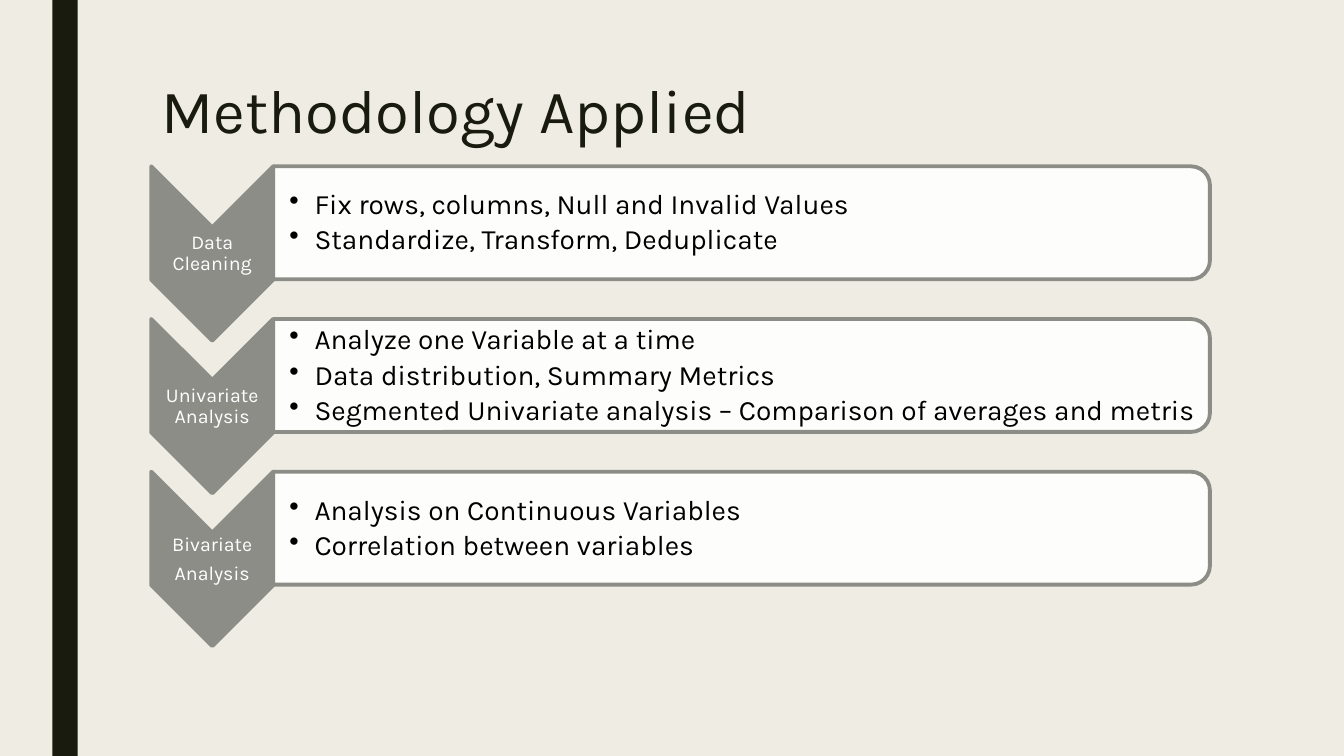
from dataclasses import dataclass

from lxml import etree
from pptx import Presentation
from pptx.dml.color import RGBColor
from pptx.enum.shapes import MSO_SHAPE
from pptx.enum.text import MSO_ANCHOR, MSO_AUTO_SIZE, PP_ALIGN
from pptx.oxml.ns import qn
from pptx.util import Inches, Pt

RECTANGLE = MSO_SHAPE.RECTANGLE
CHEVRON = MSO_SHAPE.CHEVRON
PANEL = MSO_SHAPE.ROUND_2_SAME_RECTANGLE
LEFT, CENTER = PP_ALIGN.LEFT, PP_ALIGN.CENTER
TOP, MIDDLE = MSO_ANCHOR.TOP, MSO_ANCHOR.MIDDLE
NO_AUTOFIT = MSO_AUTO_SIZE.NONE

FONT = "Karla"
CREAM, DARK, GRAY, WHITE, BLACK = "EFEDE3", "191B0E", "8C8D86", "FFFFFF", "000000"
FIRST_TOP, ROW_PITCH = 1.65, 1.515


@dataclass
class Step:
    label: list[str]
    points: list[str]


STEPS = [
    Step(["Data Cleaning"],
         ["Fix rows, columns, Null and Invalid Values",
          "Standardize, Transform, Deduplicate"]),
    Step(["Univariate Analysis"],
         ["Analyze one Variable at a time",
          "Data distribution, Summary Metrics",
          "Segmented Univariate analysis – Comparison of averages and metris"]),
    Step(["Bivariate", "Analysis"],
         ["Analysis on Continuous Variables",
          "Correlation between variables"]),
]


def color(value: str) -> RGBColor:
    return RGBColor.from_string(value)


def add_block(slide, kind, left: float, top: float, width: float, height: float, *,
              fill: str, line: str | None = None, turned: bool = False,
              opacity: int = 100):
    """Add a preset shape; the box given is the one seen after turning."""
    if turned:
        left, top = left + (width - height) / 2, top + (height - width) / 2
        width, height = height, width
    shape = slide.shapes.add_shape(
        kind, Inches(left), Inches(top), Inches(width), Inches(height))
    shape.shadow.inherit = False
    shape.rotation = 90 if turned else 0
    shape.fill.solid()
    shape.fill.fore_color.rgb = color(fill)
    if opacity < 100:
        fill_color = shape._element.spPr.find(qn("a:solidFill"))[0]
        etree.SubElement(fill_color, qn("a:alpha"), val=str(opacity * 1000))
    if line:
        shape.line.color.rgb = color(line)
        shape.line.width = Pt(2.75)
    else:
        shape.line.fill.background()
    return shape


def write_text(shape, lines: list[str], *, size: float, text_color: str,
               align=LEFT, anchor=MIDDLE, spacing: float = 0.9, after: float = 0,
               insets=(0.01, 0.01, 0.01, 0.01), bullet: bool = False) -> None:
    frame = shape.text_frame
    frame.word_wrap = True
    frame.auto_size = NO_AUTOFIT
    frame.vertical_anchor = anchor
    (frame.margin_left, frame.margin_top,
     frame.margin_right, frame.margin_bottom) = map(Inches, insets)
    for index, line in enumerate(lines):
        paragraph = frame.add_paragraph() if index else frame.paragraphs[0]
        paragraph.alignment = align
        paragraph.line_spacing = spacing
        paragraph.space_after = Pt(after)
        run = paragraph.add_run()
        run.text = line
        run.font.name = FONT
        run.font.size = Pt(size)
        run.font.color.rgb = color(text_color)
        if bullet:
            properties = paragraph._p.get_or_add_pPr()
            properties.set("marL", str(Inches(0.25)))
            properties.set("indent", str(Inches(-0.25)))
            etree.SubElement(properties, qn("a:buChar"), char="•")


def add_text(slide, lines: list[str], left: float, top: float, width: float,
             height: float, **text_format) -> None:
    box = slide.shapes.add_textbox(
        Inches(left), Inches(top), Inches(width), Inches(height))
    write_text(box, lines, **text_format)


def add_step(slide, step: Step, top: float) -> None:
    add_block(slide, CHEVRON, 1.5, top, 1.21, 1.73, fill=GRAY, line=GRAY, turned=True)
    add_text(slide, step.label, 1.5, top + 0.61, 1.21, 0.52,
             size=14, text_color=WHITE, align=CENTER, after=5.5)
    add_block(slide, PANEL, 2.71, top, 9.29, 1.12, fill=WHITE, line=GRAY,
              turned=True, opacity=90)
    add_text(slide, step.points, 2.71, top + 0.06, 9.23, 1.01, size=20,
             text_color=BLACK, after=3.5, insets=(0.16, 0.01, 0.01, 0.01), bullet=True)


presentation = Presentation()
presentation.slide_width, presentation.slide_height = Inches(13.33), Inches(7.5)
slide = presentation.slides.add_slide(presentation.slide_layouts[5])

# Background and side bar
slide.background.fill.solid()
slide.background.fill.fore_color.rgb = color(CREAM)
add_block(slide, RECTANGLE, 0.52, 0, 0.25, 7.5, fill=DARK)

# Title
title = slide.shapes.title
title.left, title.top = Inches(1.5), Inches(0.75)
title.width, title.height = Inches(10.5), Inches(0.9)
write_text(title, ["Methodology Applied"], size=44, text_color=DARK, anchor=TOP,
           spacing=0.89, insets=(0.1, 0.05, 0.1, 0.05))

# Methodology steps
for row, step in enumerate(STEPS):
    add_step(slide, step, FIRST_TOP + row * ROW_PITCH)

presentation.save("out.pptx")
